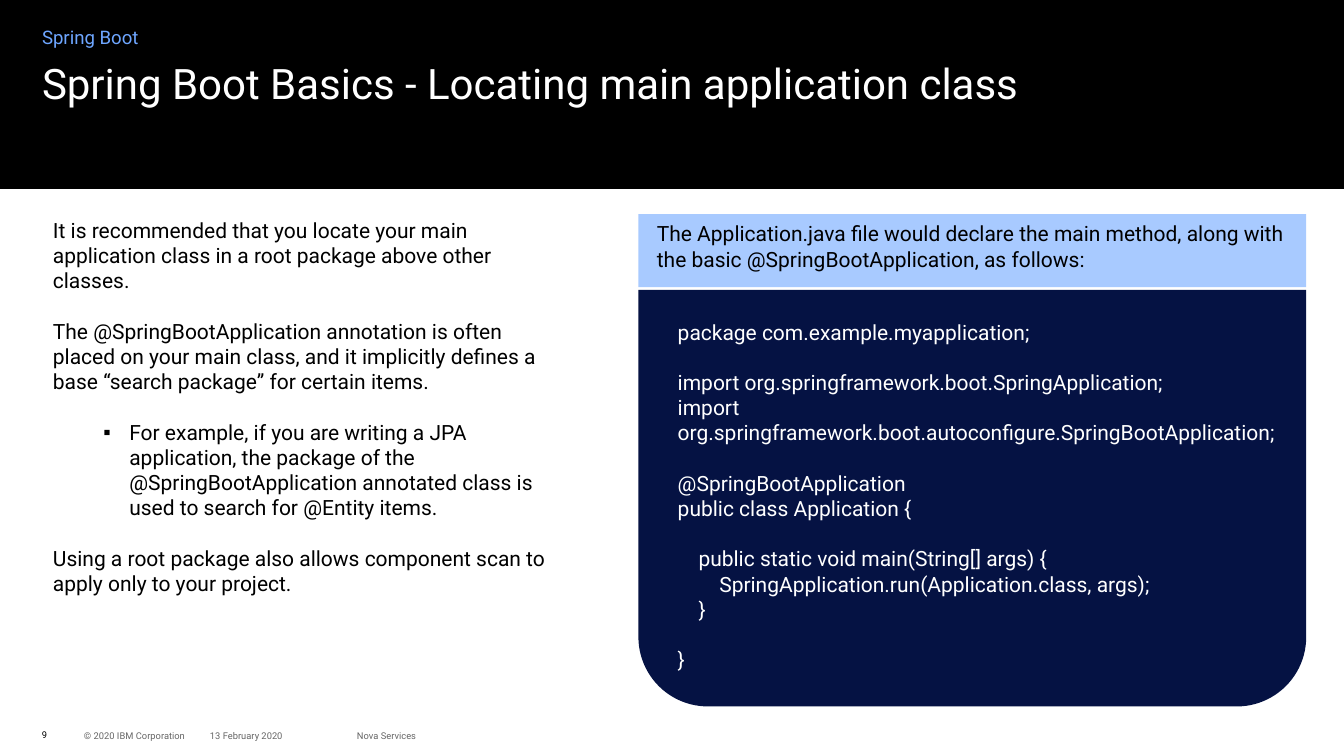
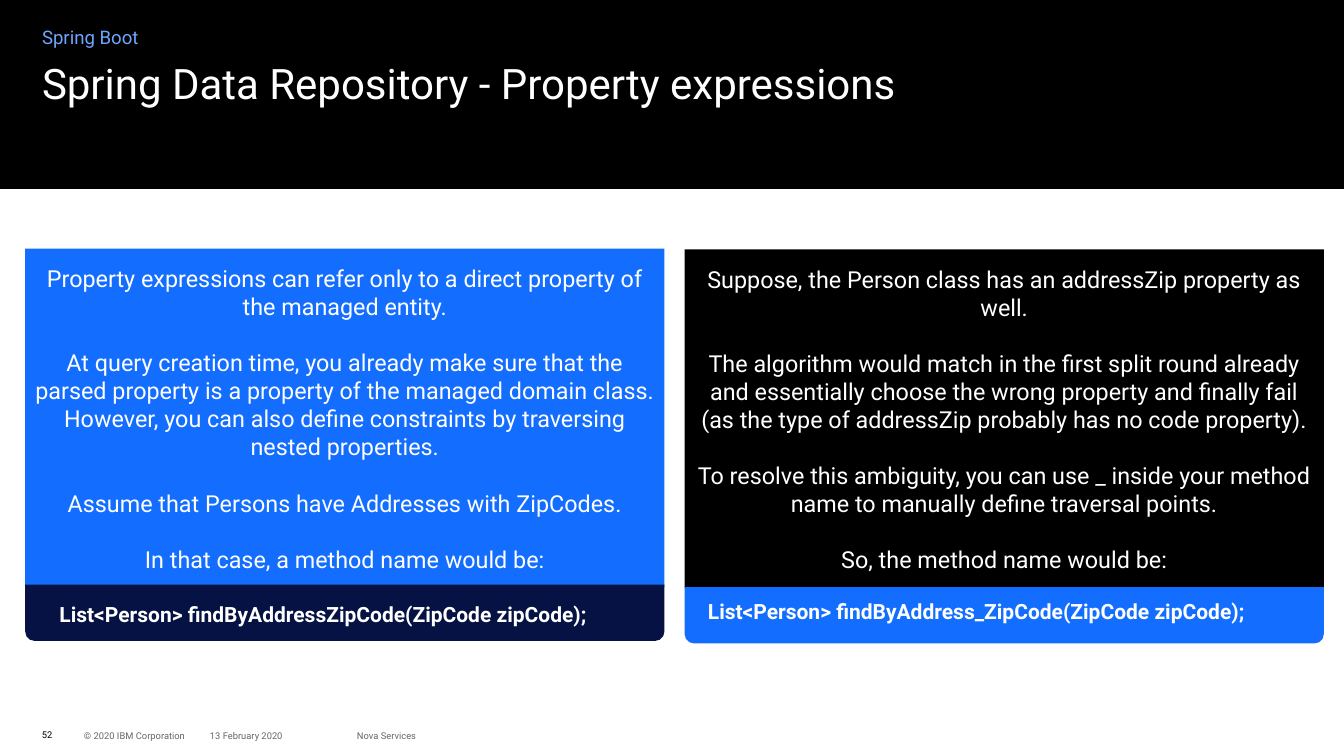
from lxml import etree
from pptx import Presentation
from pptx.dml.color import RGBColor
from pptx.enum.shapes import MSO_SHAPE
from pptx.enum.text import MSO_ANCHOR, MSO_AUTO_SIZE, PP_ALIGN
from pptx.oxml.ns import qn
from pptx.util import Inches, Pt

RECTANGLE = MSO_SHAPE.RECTANGLE
ROUNDED = MSO_SHAPE.ROUND_2_SAME_RECTANGLE
TOP, MIDDLE = MSO_ANCHOR.TOP, MSO_ANCHOR.MIDDLE
LEFT, CENTER = PP_ALIGN.LEFT, PP_ALIGN.CENTER
NO_FIT = MSO_AUTO_SIZE.NONE

BLACK, WHITE, GRAY = "000000", "FFFFFF", "666666"
NAVY, BLUE, SKY, PALE = "051243", "136EFF", "6EA6FF", "A8CAFF"
FLUSH = (0, 0, 0, 0)
PADDED = (0.1, 0.05, 0.1, 0.05)
FOOTERS = [
    (1, 2.5, "© 2020 IBM Corporation"),
    (2.5, 1.5, "13 February 2020"),
    (4.25, 2.5, "Nova Services"),
]

ADVICE = """It is recommended that you locate your main application class in a root package above other classes.

The @SpringBootApplication annotation is often placed on your main class, and it implicitly defines a base “search package” for certain items.

For example, if you are writing a JPA application, the package of the @SpringBootApplication annotated class is used to search for @Entity items.

Using a root package also allows component scan to apply only to your project."""

CODE_INTRO = (
    "The Application.java file would declare the main method, "
    "along with the basic @SpringBootApplication, as follows:"
)

CODE = """package com.example.myapplication;

import org.springframework.boot.SpringApplication;
import org.springframework.boot.autoconfigure.SpringBootApplication;

@SpringBootApplication
public class Application {

    public static void main(String[] args) {
        SpringApplication.run(Application.class, args);
    }

}"""

DIRECT = """Property expressions can refer only to a direct property of the managed entity.

At query creation time, you already make sure that the parsed property is a property of the managed domain class. However, you can also define constraints by traversing nested properties.

Assume that Persons have Addresses with ZipCodes.

In that case, a method name would be:"""

AMBIGUOUS = """Suppose, the Person class has an addressZip property as well.

The algorithm would match in the first split round already and essentially choose the wrong property and finally fail (as the type of addressZip probably has no code property).

To resolve this ambiguity, you can use _ inside your method name to manually define traversal points.

So, the method name would be:"""


def color(value):
    """Turn a hex string into a colour."""
    return RGBColor.from_string(value)


def apply(target, values):
    """Set each named attribute on the target."""
    for name, value in values.items():
        setattr(target, name, value)


def place(box, at):
    """Move and size a box, in inches."""
    names = ("left", "top", "width", "height")
    apply(box, dict(zip(names, map(Inches, at))))


def indent(para, left=0, hanging=0, mark=None):
    """Set the indents and the bullet of a paragraph."""
    properties = para._p.get_or_add_pPr()
    properties.set("marL", str(Inches(left)))
    properties.set("indent", str(-Inches(hanging)))
    if mark:
        etree.SubElement(properties, qn("a:buChar")).set("char", mark)
    else:
        etree.SubElement(properties, qn("a:buNone"))


class Lesson:
    """Holds the deck, its style and the current page."""

    def __init__(self):
        """Start an empty widescreen deck."""
        self.deck = Presentation()
        apply(self.deck, {"slide_width": Inches(16), "slide_height": Inches(9)})
        self.page = None

    def start_page(self, layout, title, number):
        """Add a page with its band, headings and footer."""
        self.page = self.deck.slides.add_slide(self.deck.slide_layouts[layout])
        band = self.shape(RECTANGLE, (0, 0, 16, 2.25), BLACK)
        self.page.shapes.title.element.addprevious(band.element)
        self.placeholder(0, (0.5, 0.75, 15, 1.25), title, 36, WHITE, FLUSH, spacing=0.9)
        self.placeholder(1, (0.5, 0.29, 7.2, 0.3), "Spring Boot", 16, SKY, FLUSH, spacing=1.05)
        for left, width, words in FOOTERS:
            self.text((left, 8.64, width, 0.24), words, 8, GRAY, FLUSH, anchor=MIDDLE)
        self.text((0.5, 8.63, 0.36, 0.24), number, 8, BLACK, FLUSH, anchor=MIDDLE)

    def fill_text(self, box, words, size, ink, insets=PADDED, anchor=TOP,
                  align=LEFT, spacing=1.0, bold=False):
        """Fill a box with text, leaving one line between blocks."""
        frame = box.text_frame
        apply(frame, {"word_wrap": True, "auto_size": NO_FIT, "vertical_anchor": anchor})
        sides = ("margin_left", "margin_top", "margin_right", "margin_bottom")
        apply(frame, dict(zip(sides, map(Inches, insets))))
        for block_index, block in enumerate(words.split("\n\n")):
            for line_index, line in enumerate(block.split("\n")):
                first = block_index == line_index == 0
                para = frame.paragraphs[0] if first else frame.add_paragraph()
                gap = 1.2 * size if block_index and not line_index else 0
                apply(para, {"alignment": align, "line_spacing": spacing,
                             "space_before": Pt(gap), "space_after": Pt(0)})
                span = para.add_run()
                span.text = line
                apply(span.font, {"name": "Roboto", "size": Pt(size), "bold": bold})
                span.font.color.rgb = color(ink)
        return frame.paragraphs

    def placeholder(self, index, at, words, size, ink, insets=PADDED, spacing=1.0, bullets=()):
        """Move and fill a template placeholder."""
        box = self.page.placeholders[index]
        place(box, at)
        paras = self.fill_text(box, words, size, ink, insets, spacing=spacing)
        for position, para in enumerate(paras):
            if position in bullets:
                para.level = 1
                indent(para, 0.91, 0.31, "▪")
            else:
                indent(para)

    def text(self, at, words, size, ink, insets=PADDED, **options):
        """Add a text box."""
        box = self.page.shapes.add_textbox(*map(Inches, at))
        self.fill_text(box, words, size, ink, insets, **options)

    def shape(self, kind, at, fill):
        """Add a flat shape without an outline."""
        box = self.page.shapes.add_shape(kind, *map(Inches, at))
        box.shadow.inherit = False
        box.fill.solid()
        box.fill.fore_color.rgb = color(fill)
        box.line.fill.background()
        return box

    def rounded_foot(self, at, fill):
        """Add a block with rounded lower corners."""
        self.shape(ROUNDED, at, fill).rotation = 180

    def method_card(self, left, top, words, fill, foot_top, foot_fill, method, method_at):
        """Add an explanation with a method signature below it."""
        panel = self.shape(RECTANGLE, (left, top, 7.61, 4.03), fill)
        self.fill_text(panel, words, 20, WHITE, (0.1, 0.19, 0.1, 0.05), align=CENTER)
        self.rounded_foot((left, foot_top, 7.61, 0.67), foot_fill)
        self.text((*method_at, 7.4, 0.67), method, 18, WHITE, spacing=1.05, bold=True)


def main():
    """Build and save the deck."""
    lesson = Lesson()

    lesson.start_page(3, "Spring Boot Basics - Locating main application class", "9")
    lesson.placeholder(2, (0.53, 2.54, 6.27, 5.56), ADVICE, 18, BLACK, bullets=(2,))
    lesson.rounded_foot((7.6, 3.45, 7.95, 4.96), NAVY)
    intro = lesson.shape(RECTANGLE, (7.6, 2.55, 7.95, 0.87), PALE)
    lesson.fill_text(intro, CODE_INTRO, 18, BLACK, (0.22, 0.08, 0.15, 0.05))
    lesson.text((7.97, 3.75, 7.53, 4.5), CODE, 18, WHITE)

    lesson.start_page(1, "Spring Data Repository - Property expressions", "52")
    lesson.method_card(0.3, 2.96, DIRECT, BLUE, 6.96, NAVY,
                       "List<Person> findByAddressZipCode(ZipCode zipCode);", (0.61, 7.1))
    lesson.method_card(8.15, 2.97, AMBIGUOUS, BLACK, 6.99, BLUE,
                       "List<Person> findByAddress_ZipCode(ZipCode zipCode);", (8.33, 7.06))

    lesson.deck.save("out.pptx")


if __name__ == "__main__":
    main()
